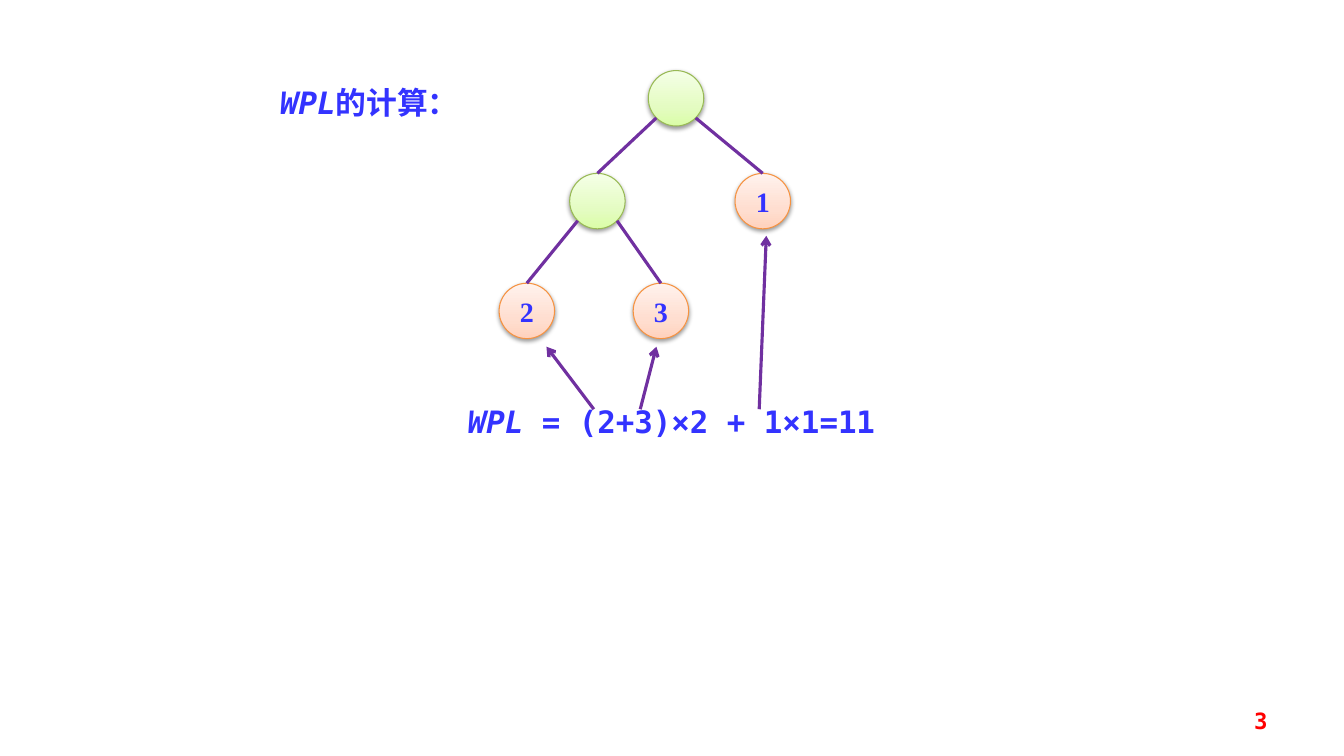
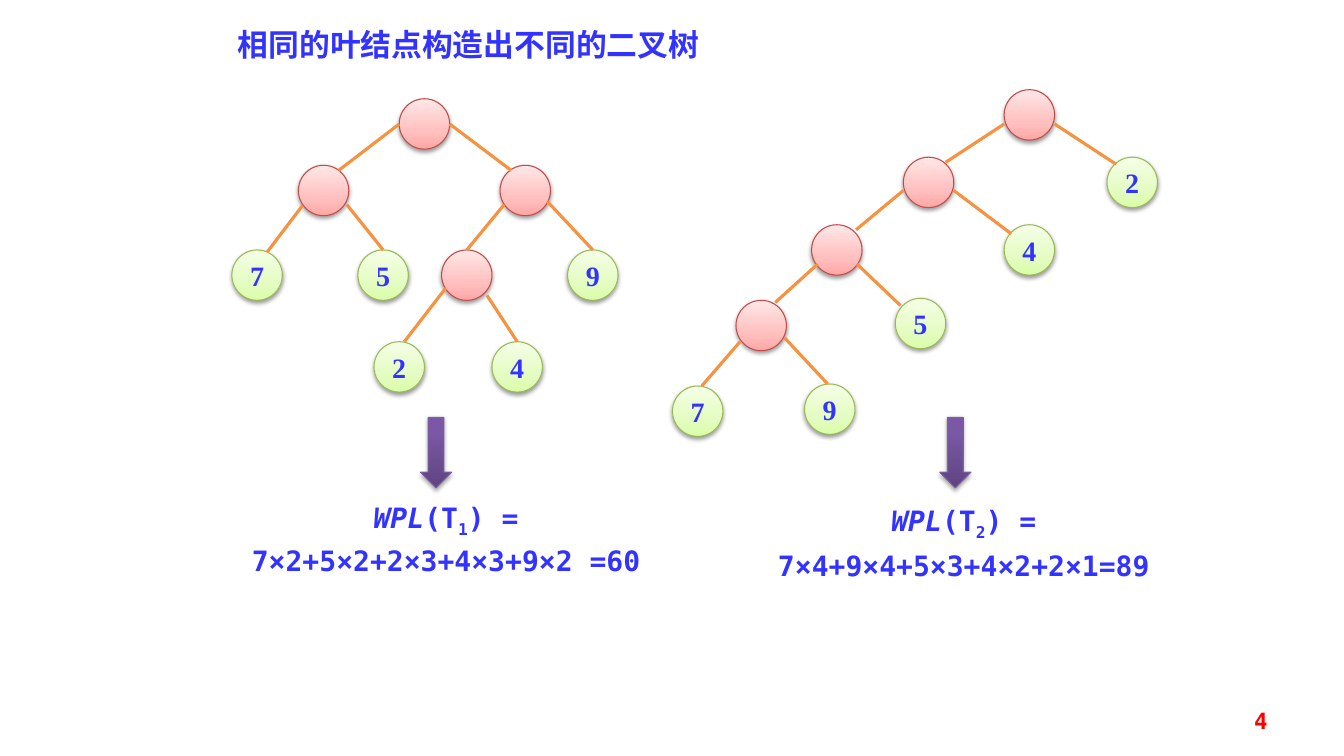
from lxml import etree
from pptx import Presentation
from pptx.dml.color import RGBColor
from pptx.enum.shapes import MSO_CONNECTOR, MSO_SHAPE
from pptx.enum.text import MSO_ANCHOR, PP_ALIGN
from pptx.oxml.ns import qn
from pptx.util import Inches, Pt

LEFT, CENTER, RIGHT = PP_ALIGN.LEFT, PP_ALIGN.CENTER, PP_ALIGN.RIGHT
TOP, MIDDLE = MSO_ANCHOR.TOP, MSO_ANCHOR.MIDDLE
OVAL, DOWN_ARROW = MSO_SHAPE.OVAL, MSO_SHAPE.DOWN_ARROW
STRAIGHT = MSO_CONNECTOR.STRAIGHT

BLUE = RGBColor(0x33, 0x33, 0xFF)
RED = RGBColor(0xFF, 0x00, 0x00)
PURPLE = RGBColor(0x70, 0x30, 0xA0)
ORANGE = RGBColor(0xF6, 0x92, 0x40)
GREEN_OUTLINE = RGBColor(0x98, 0xB9, 0x55)
RED_OUTLINE = RGBColor(0xBF, 0x4C, 0x48)
PURPLE_OUTLINE = RGBColor(0x7D, 0x60, 0xA0)
MONO, SERIF = "DejaVu Sans Mono", "Times New Roman"

# Outline, then gradient stops (percent, colour) from bottom to top
GREEN_STYLE = (GREEN_OUTLINE, [(0, "DAFDA7"), (35, "E4FCC2"), (100, "F5FFE7")])
ORANGE_STYLE = (ORANGE, [(0, "FFD2BD"), (35, "FFDED0"), (100, "FFF2ED")])
RED_STYLE = (RED_OUTLINE, [(0, "FFA6A5"), (35, "FFC0BF"), (100, "FFE7E7")])
PURPLE_STYLE = (PURPLE_OUTLINE, [(0, "5F4480"), (80, "7B58A6"), (100, "7C57A8")])

# Slide 1: nodes are (left, top, label); an empty label is an inner node
WPL_NODE_SIZE = 0.55
WPL_NODES = {
    "root": (6.43, 0.7, ""),
    "inner": (5.65, 1.72, ""),
    "leaf 1": (7.29, 1.72, "1"),
    "leaf 2": (4.95, 2.81, "2"),
    "leaf 3": (6.28, 2.81, "3"),
}
WPL_EDGES = [("root", "inner"), ("root", "leaf 1"),
             ("inner", "leaf 2"), ("inner", "leaf 3")]
WPL_HEADING = [[("WPL", "italic"), ("的计算：", "")]]
WPL_FORMULA = [[("WPL ", "italic"), ("= (2+3)×2 + 1×1=11", "")]]
FORMULA_ARROWS = [(5.89, 4.06, 5.42, 3.44), (6.35, 4.06, 6.51, 3.44),
                  (7.53, 4.06, 7.6, 2.34)]

# Slide 2: edges are (start x, start y, end x, end y)
TREE_NODE_SIZE = 0.5
TREES_HEADING = [[("相同的叶结点构造出不同的二叉树", "")]]
TREES = [
    {
        "nodes": [(3.96, 0.98, ""), (2.96, 1.64, ""), (4.96, 1.64, ""),
                  (4.38, 2.48, ""), (2.3, 2.48, "7"), (3.55, 2.48, "5"),
                  (5.63, 2.48, "9"), (3.71, 3.39, "2"), (4.88, 3.39, "4")],
        "edges": [(3.96, 1.23, 3.36, 1.69), (4.46, 1.23, 5.07, 1.69),
                  (3, 2.04, 2.65, 2.5), (3.44, 2.03, 3.8, 2.48),
                  (5, 2.03, 4.63, 2.48), (5.43, 2, 5.88, 2.48),
                  (4.42, 2.86, 4.01, 3.39), (4.83, 2.93, 5.13, 3.39)],
        "arrow left": 4.17,
        "formula": [[("WPL", "italic"), ("(T", ""), ("1", "subscript"), (") =", "")],
                    [("7×2+5×2+2×3+4×3+9×2 =60", "")]],
        "formula box": (2.26, 4.95, 4.33, 0.81),
        "spacing": {"line_spacing": 0.8, "space_before": 11},
    },
    {
        "nodes": [(9.96, 0.89, ""), (8.96, 1.56, ""), (8.05, 2.23, ""),
                  (7.3, 2.98, ""), (10.98, 1.56, "2"), (9.96, 2.23, "4"),
                  (8.88, 2.96, "5"), (6.67, 3.83, "7"), (7.98, 3.81, "9")],
        "edges": [(9.96, 1.23, 9.38, 1.61), (10.46, 1.23, 11.07, 1.63),
                  (8.96, 1.89, 8.49, 2.28), (9.46, 1.89, 10.03, 2.32),
                  (8.11, 2.62, 7.69, 3), (8.5, 2.62, 8.93, 3.03),
                  (7.34, 3.39, 6.96, 3.83), (7.78, 3.35, 8.21, 3.81)],
        "arrow left": 9.32,
        "formula": [[("WPL", "italic"), ("(T", ""), ("2", "subscript"), (") =", "")],
                    [("7×4+9×4+5×3+4×2+2×1=89", "")]],
        "formula box": (7.61, 4.87, 3.9, 0.91),
        "spacing": {"line_spacing": 1.2},
    },
]


def write_text(frame, paragraphs, *, size, font=MONO, color=BLUE, align=LEFT,
               anchor=TOP, line_spacing=None, space_before=0):
    """Write paragraphs, each a list of (text, style) runs, into a text frame."""
    frame.word_wrap = True
    frame.vertical_anchor = anchor
    for index, runs in enumerate(paragraphs):
        paragraph = frame.add_paragraph() if index else frame.paragraphs[0]
        paragraph.alignment = align
        if line_spacing:
            paragraph.line_spacing = line_spacing
        if index and space_before:
            paragraph.space_before = Pt(space_before)
        for text, style in runs:
            run = paragraph.add_run()
            run.text = text
            run.font.name = font
            run.font.size = Pt(size)
            run.font.bold = True
            run.font.italic = style == "italic"
            run.font.color.rgb = color
            if style == "subscript":
                run._r.get_or_add_rPr().set("baseline", "-25000")


def add_text(slide, box, paragraphs, **text_format):
    text_box = slide.shapes.add_textbox(*map(Inches, box))
    write_text(text_box.text_frame, paragraphs, **text_format)


def add_glossy_shape(slide, kind, box, style, *, shadow_distance=1.6, shadow_opacity=38):
    """Add a preset shape with a vertical gradient and a soft shadow below."""
    outline, stops = style
    shape = slide.shapes.add_shape(kind, *map(Inches, box))
    shape.line.color.rgb = outline
    shape.line.width = Pt(0.75)
    shape.fill.gradient()
    shape.fill.gradient_angle = 90
    properties = shape.element.spPr
    stop_list = properties.find(".//" + qn("a:gsLst"))
    for stop in list(stop_list):
        stop_list.remove(stop)
    for percent, color in stops:
        stop = etree.SubElement(stop_list, qn("a:gs"), pos=str(percent * 1000))
        etree.SubElement(stop, qn("a:srgbClr"), val=color)

    shape.shadow.inherit = False
    shadow = etree.SubElement(
        properties.find(qn("a:effectLst")), qn("a:outerShdw"),
        blurRad=str(Pt(3.1)), dist=str(Pt(shadow_distance)), dir="5400000",
        rotWithShape="0")
    shadow_color = etree.SubElement(shadow, qn("a:srgbClr"), val="000000")
    etree.SubElement(shadow_color, qn("a:alpha"), val=str(shadow_opacity * 1000))
    return shape


def add_node(slide, node, size, inner_style, leaf_style):
    left, top, label = node
    shape = add_glossy_shape(slide, OVAL, (left, top, size, size),
                             leaf_style if label else inner_style)
    if label:
        frame = shape.text_frame
        frame.margin_left = frame.margin_right = 0
        frame.margin_top = frame.margin_bottom = 0
        write_text(frame, [[(label, "")]], size=20, font=SERIF, align=CENTER,
                   anchor=MIDDLE)
    return shape


def add_line(slide, points, color, *, nodes=(), arrow=False):
    """Draw a straight line, joined to a node if it ends at the top of one."""
    line = slide.shapes.add_connector(STRAIGHT, *map(Inches, points))
    line.line.color.rgb = color
    line.line.width = Pt(2.25)
    properties = line.element.spPr
    if arrow:
        etree.SubElement(properties.find(qn("a:ln")), qn("a:tailEnd"), type="arrow")
    etree.SubElement(properties, qn("a:effectLst"))
    for node in nodes:
        across = abs(node.left + node.width // 2 - line.end_x)
        down = abs(node.top - line.end_y)
        if max(across, down) < Inches(0.02):
            line.end_connect(node, 0)


def add_slide(presentation, number):
    slide = presentation.slides.add_slide(presentation.slide_layouts[6])
    add_text(slide, (9.56, 6.95, 3.11, 0.4), [[(str(number), "")]],
             size=16, color=RED, align=RIGHT, anchor=MIDDLE)
    return slide


def build_wpl_slide(presentation):
    slide = add_slide(presentation, 3)
    nodes = [add_node(slide, node, WPL_NODE_SIZE, GREEN_STYLE, ORANGE_STYLE)
             for node in WPL_NODES.values()]
    radius = WPL_NODE_SIZE / 2
    diagonal = radius * 0.71
    for parent, child in WPL_EDGES:
        parent_left, parent_top, _ = WPL_NODES[parent]
        child_left, child_top, _ = WPL_NODES[child]
        side = 1 if child_left > parent_left else -1
        points = (parent_left + radius + side * diagonal,
                  parent_top + radius + diagonal,
                  child_left + radius, child_top)
        add_line(slide, points, PURPLE, nodes=nodes)
    add_text(slide, (2.68, 0.78, 2.42, 0.47), WPL_HEADING, size=22)
    add_text(slide, (4.24, 3.95, 4.84, 0.47), WPL_FORMULA, size=22, align=CENTER)
    for points in FORMULA_ARROWS:
        add_line(slide, points, PURPLE, arrow=True)


def build_trees_slide(presentation):
    slide = add_slide(presentation, 4)
    add_text(slide, (2.26, 0.21, 7.32, 0.47), TREES_HEADING, size=22, font=SERIF)
    for tree in TREES:
        nodes = [add_node(slide, node, TREE_NODE_SIZE, RED_STYLE, GREEN_STYLE)
                 for node in tree["nodes"]]
        for points in tree["edges"]:
            add_line(slide, points, ORANGE, nodes=nodes)
        add_glossy_shape(slide, DOWN_ARROW, (tree["arrow left"], 4.14, 0.31, 0.7),
                         PURPLE_STYLE, shadow_distance=1.8, shadow_opacity=35)
        add_text(slide, tree["formula box"], tree["formula"], size=20,
                 align=CENTER, **tree["spacing"])


def main():
    presentation = Presentation()
    presentation.slide_width = Inches(13.33)
    presentation.slide_height = Inches(7.5)
    build_wpl_slide(presentation)
    build_trees_slide(presentation)
    presentation.save("out.pptx")


if __name__ == "__main__":
    main()
